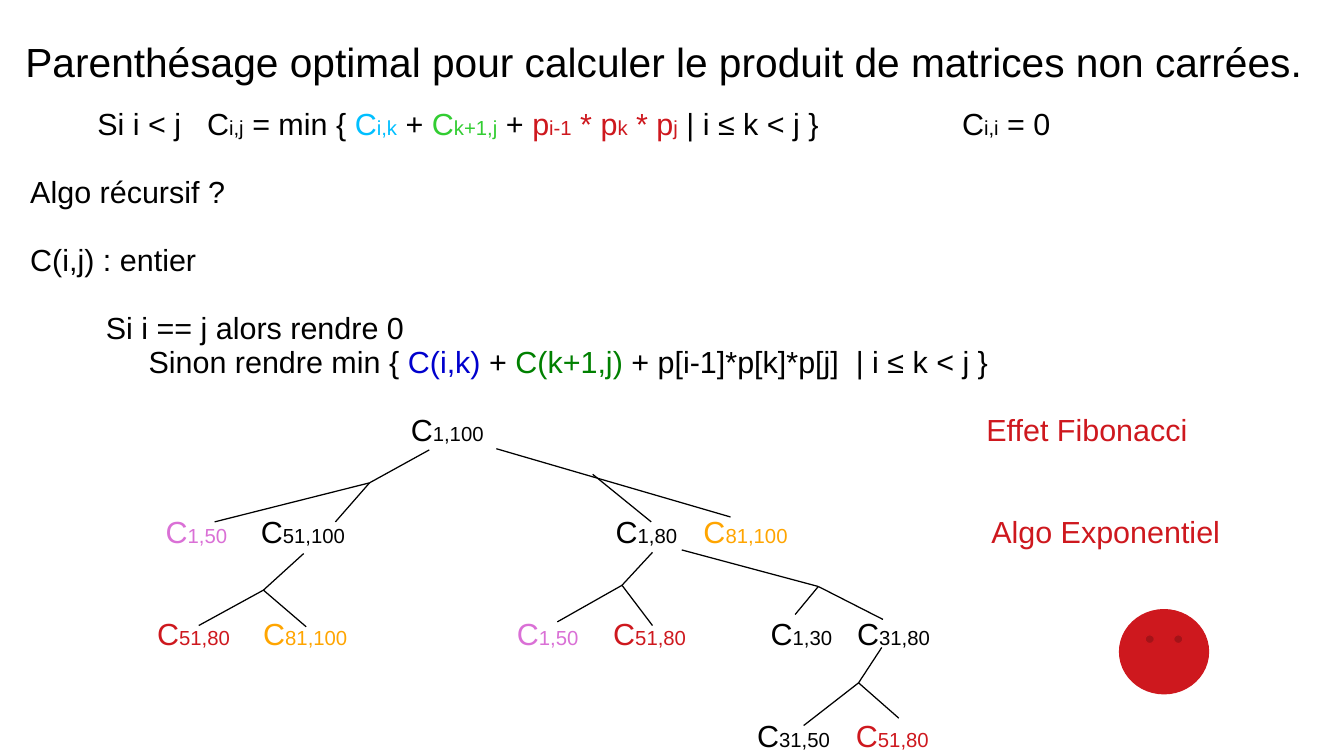
import pptx
import pptx.util
import pptx.dml.color
import pptx.enum.shapes
import pptx.enum.text
import lxml.etree

WIDTH, HEIGHT = 11.02, 6.2
ROW_POINTS = 20.08
TITLE_BOX = (0.11, 0.27, 10.72, 0.84)
BODY_BOX = (0.15, 0.82, 10.8, 5.38)
INSET_SIDE, INSET_TOP, INSET_BOTTOM = 0.1, 0.07, 0.05
TEXT_LEFT = BODY_BOX[0] + INSET_SIDE

THEME = {
    "font": "Arial",
    "sizes": {"title": 24, "body": 18, "index": 12},
    "spacing": 0.93,
    "line": 0.75,
    "black": "000000",
    "red": "CE181E",
    "sky": "00BFFF",
    "lime": "32CD32",
    "blue": "0000CD",
    "green": "008000",
    "orchid": "DA70D6",
    "orange": "FFA500",
}


def plain(text, colour="black"):
    return [(text, colour, "body")]


def indexed(text, index, colour="black"):
    return [(text, colour, "body"), (index, colour, "index")]


def node(index, colour="black"):
    return indexed("C", index, colour)


TITLE = [("Parenthésage optimal pour calculer le produit de matrices non carrées.", "black", "title")]

RECURRENCE = (
    node("i,j") + plain(" = min { ")
    + node("i,k", "sky") + plain(" + ")
    + node("k+1,j", "lime") + plain(" + ")
    + indexed("p", "i-1", "red") + indexed(" * p", "k", "red") + indexed(" * p", "j", "red")
    + plain(" | i ≤ k < j }")
)

RECURSIVE_CALL = (
    plain("Sinon rendre min { ") + plain("C(i,k)", "blue") + plain(" + ")
    + plain("C(k+1,j)", "green") + plain(" + p[i-1]*p[k]*p[j]  | i ≤ k < j }")
)

LINES = {
    0: [(0.8, plain("Si i < j")), (1.7, RECURRENCE), (7.89, node("i,i") + plain(" = 0"))],
    2: [(TEXT_LEFT, plain("Algo récursif\u00a0?"))],
    4: [(TEXT_LEFT, plain("C(i,j)\u00a0: entier"))],
    6: [(0.87, plain("Si i == j alors rendre 0"))],
    7: [(1.22, RECURSIVE_CALL)],
    9: [(3.37, node("1,100")), (8.09, plain("Effet Fibonacci", "red"))],
    12: [(1.36, node("1,50", "orchid")), (2.14, node("51,100")), (5.05, node("1,80")),
         (5.77, node("81,100", "orange")), (8.13, plain("Algo Exponentiel", "red"))],
    15: [(1.29, node("51,80", "red")), (2.16, node("81,100", "orange")),
         (4.24, node("1,50", "orchid")), (5.03, node("51,80", "red")),
         (6.32, node("1,30")), (7.03, node("31,80"))],
    18: [(6.21, node("31,50")), (7.02, node("51,80", "red"))],
}

FORKS = [
    ((3.03, 3.96), [(3.52, 3.69), (1.76, 4.28), (2.75, 4.28)]),
    ((2.16, 4.84), [(2.49, 4.54), (1.63, 5.13), (2.51, 5.14)]),
    ((5.1, 4.8), [(5.35, 4.53), (4.57, 5.1), (5.35, 5.13)]),
    ((6.71, 4.81), [(5.59, 4.51), (6.52, 5.04), (7.24, 5.08)]),
    ((7.04, 5.6), [(7.23, 5.31), (6.59, 5.95), (7.37, 5.89)]),
    ((4.86, 3.89), [(5.34, 4.28)]),
    ((5.99, 4.24), [(4.07, 3.68)]),
]

FACE = (9.18, 5, 0.73, 0.69)


def inches(*values):
    return [pptx.util.Inches(value) for value in values]


def colour_of(name):
    return pptx.dml.color.RGBColor.from_string(THEME[name])


def add_frame(slide, bounds):
    frame = slide.shapes.add_textbox(*inches(*bounds)).text_frame
    frame.margin_left = frame.margin_right = pptx.util.Inches(INSET_SIDE)
    frame.margin_top, frame.margin_bottom = inches(INSET_TOP, INSET_BOTTOM)
    frame.word_wrap = True
    frame.vertical_anchor = pptx.enum.text.MSO_ANCHOR.TOP
    return frame


def add_runs(paragraph, runs):
    paragraph.line_spacing = THEME["spacing"]
    for text, colour, size in runs:
        run = paragraph.add_run()
        run.text = text
        run.font.name = THEME["font"]
        run.font.size = pptx.util.Pt(THEME["sizes"][size])
        run.font.color.rgb = colour_of(colour)


def add_tabs(paragraph, positions):
    properties = paragraph._p.get_or_add_pPr()
    stops = lxml.etree.SubElement(properties, pptx.oxml.ns.qn("a:tabLst"))
    for position in positions:
        stop = lxml.etree.SubElement(stops, pptx.oxml.ns.qn("a:tab"))
        stop.set("pos", str(pptx.util.Inches(position - TEXT_LEFT)))
        stop.set("algn", "l")


def add_body(slide):
    frame = add_frame(slide, BODY_BOX)
    previous = 0
    for row, pieces in LINES.items():
        paragraph = frame.add_paragraph() if row else frame.paragraphs[0]
        if row - previous > 1:
            paragraph.space_before = pptx.util.Pt((row - previous - 1) * ROW_POINTS)
        previous = row
        runs = []
        for left, piece in pieces:
            if left > TEXT_LEFT:
                runs += plain("\t")
            runs += piece
        add_runs(paragraph, runs)
        stops = [left for left, _ in pieces if left > TEXT_LEFT]
        if stops:
            add_tabs(paragraph, stops)


def add_branch(slide, start, end):
    branch = slide.shapes.add_connector(
        pptx.enum.shapes.MSO_CONNECTOR.STRAIGHT, *inches(*start, *end))
    branch.line.color.rgb = colour_of("black")
    branch.line.width = pptx.util.Pt(THEME["line"])
    lxml.etree.SubElement(branch.element.spPr, pptx.oxml.ns.qn("a:effectLst"))


def add_face(slide):
    face = slide.shapes.add_shape(pptx.enum.shapes.MSO_SHAPE.SMILEY_FACE, *inches(*FACE))
    face.shadow.inherit = False
    face.adjustments[0] = 0.09
    face.fill.solid()
    face.fill.fore_color.rgb = colour_of("red")
    face.line.color.rgb = colour_of("red")
    face.line.width = pptx.util.Pt(THEME["line"])


def main():
    presentation = pptx.Presentation()
    presentation.slide_width, presentation.slide_height = inches(WIDTH, HEIGHT)
    slide = presentation.slides.add_slide(presentation.slide_layouts[6])
    add_runs(add_frame(slide, TITLE_BOX).paragraphs[0], TITLE)
    add_body(slide)
    for hub, ends in FORKS:
        for end in ends:
            add_branch(slide, end, hub)
    add_face(slide)
    presentation.save("out.pptx")


if __name__ == "__main__":
    main()
